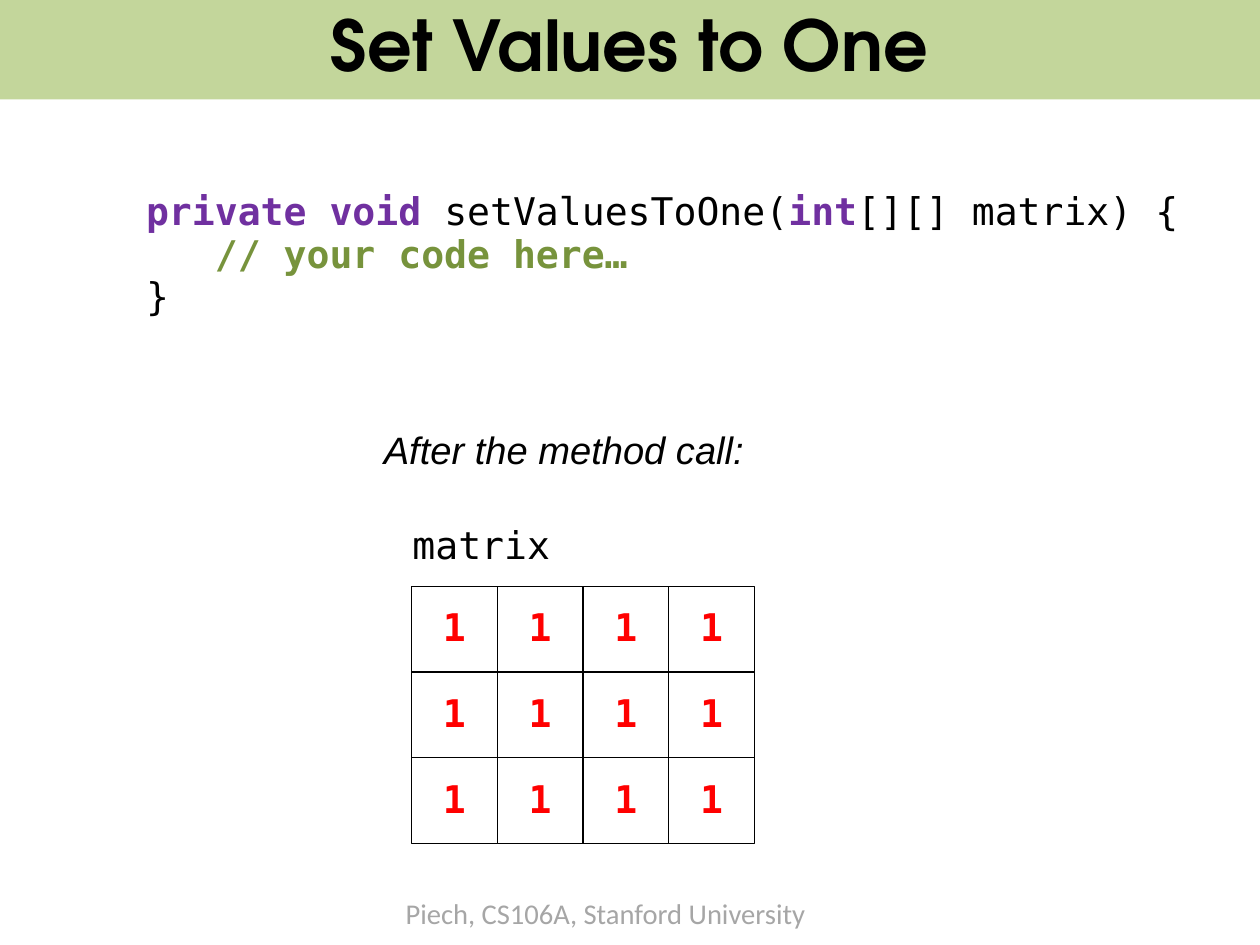
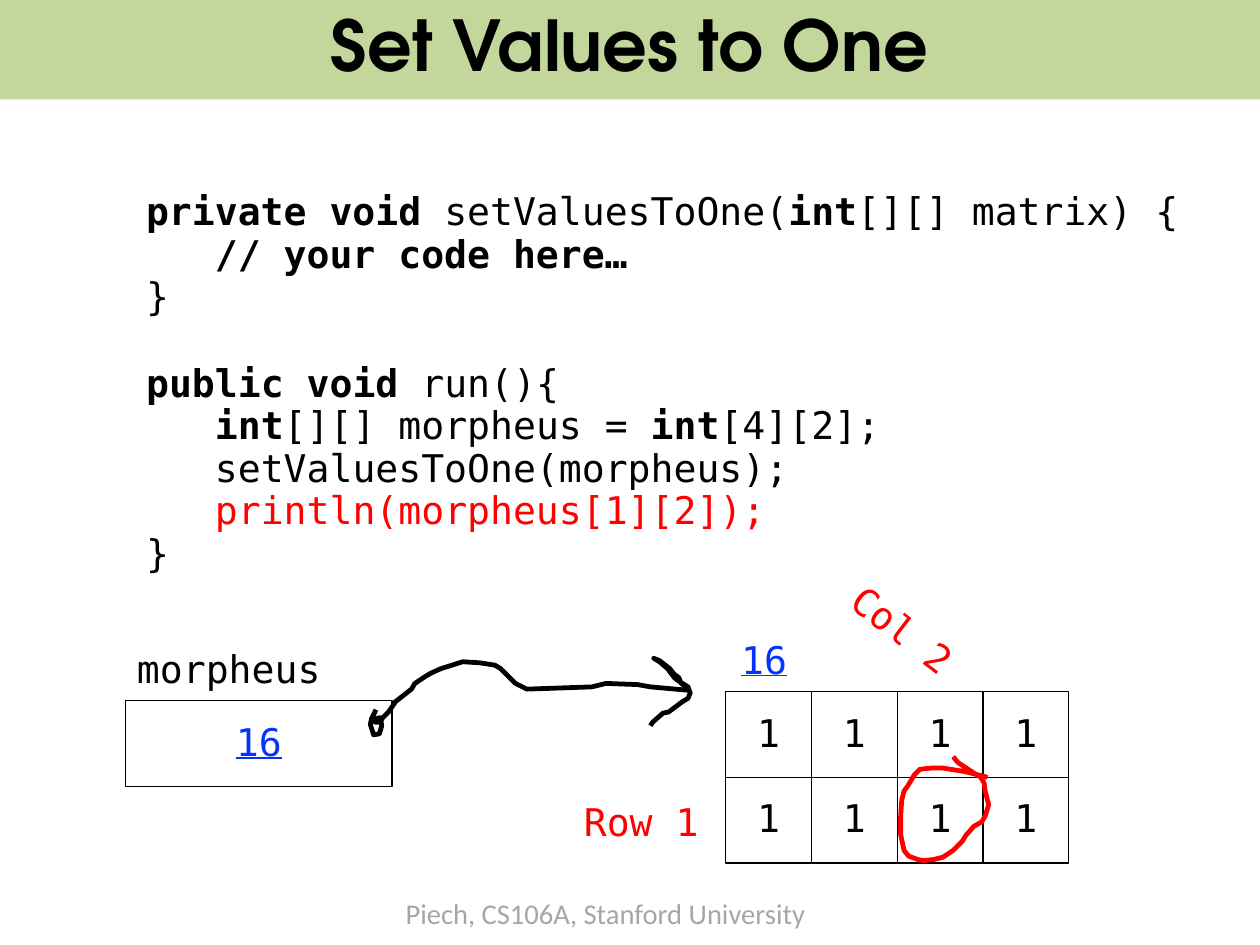
import pptx
import pptx.dml.color
import pptx.enum.shapes
import pptx.enum.text
import pptx.util

Inches = pptx.util.Inches
ALIGN = pptx.enum.text.PP_ALIGN
CM_PER_INCH = 2.54
SLIDE_WIDTH, SLIDE_HEIGHT = 28 / CM_PER_INCH, 21 / CM_PER_INCH
CELL_SIZE = 0.75
LINE_SPACING = 0.93
CODE_FONT = "DejaVu Sans Mono"
COLORS = {
    "band": "C3D69B",
    "footer": "A6A6A6",
    "text": "000000",
    "cell": "FFFFFF",
    "keyword": "7030A0",
    "comment": "77933C",
    "accent": "FF0000",
    "address": "0432FF",
}
POINTER_STROKE = [
    (3.29, 6.21), (3.25, 6.29), (3.24, 6.34), (3.27, 6.43), (3.32, 6.42),
    (3.34, 6.35), (3.33, 6.28), (3.27, 6.29), (3.28, 6.32), (3.32, 6.32),
    (3.35, 6.28), (3.40, 6.23), (3.46, 6.14), (3.60, 6.03), (3.63, 5.98),
    (3.72, 5.92), (3.77, 5.89), (3.86, 5.85), (4.05, 5.79), (4.20, 5.80),
    (4.33, 5.82), (4.38, 5.85), (4.46, 5.93), (4.51, 5.98), (4.61, 6.03),
    (5.18, 6.01), (5.30, 5.98), (5.58, 5.99), (5.69, 6.01), (5.91, 6.03),
    (6.03, 6.04), (6.02, 6.01), (5.94, 5.96), (5.90, 5.93), (5.84, 5.85),
    (5.77, 5.79), (5.72, 5.76), (5.77, 5.78), (5.86, 5.85), (5.90, 5.90),
    (5.94, 5.93), (5.96, 5.98), (6.01, 6.01), (6.04, 6.06), (6.02, 6.11),
    (5.97, 6.14), (5.85, 6.23), (5.80, 6.24), (5.71, 6.32), (5.69, 6.35),
]
CIRCLE_STROKE = [
    (8.64, 6.80), (8.56, 6.78), (8.44, 6.75), (8.25, 6.72), (8.15, 6.72),
    (8.05, 6.73), (8.00, 6.78), (7.94, 6.88), (7.91, 6.92), (7.89, 7.00),
    (7.88, 7.14), (7.88, 7.30), (7.91, 7.44), (7.95, 7.49), (8.03, 7.52),
    (8.08, 7.53), (8.17, 7.52), (8.25, 7.50), (8.34, 7.44), (8.42, 7.36),
    (8.45, 7.31), (8.52, 7.23), (8.59, 7.19), (8.62, 7.14), (8.65, 7.04),
    (8.62, 6.92), (8.61, 6.85), (8.58, 6.80), (8.47, 6.73), (8.38, 6.67),
    (8.34, 6.62),
]


def rgb(color):
    return pptx.dml.color.RGBColor.from_string(COLORS[color])


def format_run(run, font=CODE_FONT, size=24, color="text", bold=False,
               italic=False, underline=False):
    run.font.name = font
    run.font.size = pptx.util.Pt(size)
    run.font.color.rgb = rgb(color)
    run.font.bold = bold
    run.font.italic = italic
    run.font.underline = underline


def write_text(frame, lines, align=ALIGN.LEFT, **text_format):
    """Write lines, each a list of strings or (string, overrides) pairs."""
    for index, line in enumerate(lines):
        paragraph = frame.paragraphs[0] if index == 0 else frame.add_paragraph()
        paragraph.alignment = align
        paragraph.line_spacing = LINE_SPACING
        for part in line:
            text, overrides = (part, {}) if isinstance(part, str) else part
            run = paragraph.add_run()
            run.text = text
            format_run(run, **{**text_format, **overrides})


def add_text(slide, lines, left, top, width, height, rotation=0, **text_format):
    box = slide.shapes.add_textbox(
        Inches(left), Inches(top), Inches(width), Inches(height))
    box.rotation = rotation
    box.text_frame.word_wrap = False
    box.text_frame.auto_size = pptx.enum.text.MSO_AUTO_SIZE.SHAPE_TO_FIT_TEXT
    write_text(box.text_frame, lines, **text_format)


def add_box(slide, text, left, top, width, height, fill="cell", outline=True,
            **text_format):
    box = slide.shapes.add_shape(
        pptx.enum.shapes.MSO_SHAPE.RECTANGLE,
        Inches(left), Inches(top), Inches(width), Inches(height))
    box.shadow.inherit = False
    box.fill.solid()
    box.fill.fore_color.rgb = rgb(fill)
    if outline:
        box.line.color.rgb = rgb("text")
        box.line.width = pptx.util.Pt(0.75)
    else:
        box.line.fill.background()
    box.text_frame.vertical_anchor = pptx.enum.text.MSO_ANCHOR.MIDDLE
    write_text(box.text_frame, [[text]], align=ALIGN.CENTER, **text_format)


def add_matrix(slide, rows, columns, left, top, **text_format):
    for row in range(rows):
        for column in range(columns):
            add_box(slide, "1", left + column * CELL_SIZE, top + row * CELL_SIZE,
                    CELL_SIZE, CELL_SIZE, **text_format)


def add_stroke(slide, points, color):
    """Draw a hand-drawn open line through points."""
    start, *others = [(Inches(x), Inches(y)) for x, y in points]
    builder = slide.shapes.build_freeform(*start)
    builder.add_line_segments(others, close=False)
    stroke = builder.convert_to_shape()
    stroke.shadow.inherit = False
    stroke.fill.background()
    stroke.line.color.rgb = rgb(color)
    stroke.line.width = pptx.util.Pt(3)


def add_base_slide(presentation):
    """Add a slide with the shared footer and title band."""
    slide = presentation.slides.add_slide(presentation.slide_layouts[6])
    add_text(slide, [["Piech, CS106A, Stanford University"]],
             3.45, 7.82, 3.74, 0.38, font="Calibri", size=18, color="footer")
    add_box(slide, "Set Values to One", 0, -0.03, SLIDE_WIDTH, 0.9,
            fill="band", outline=False, font="TeX Gyre Adventor", size=44.1,
            bold=True)
    return slide


def add_method_code(slide, keyword_color="text", comment_color="text"):
    keyword = {"bold": True, "color": keyword_color}
    comment = {"bold": True, "color": comment_color}
    add_text(slide, [
        [("private void ", keyword), "setValuesToOne(", ("int", keyword),
         "[][] matrix) {"],
        ["   ", ("// your code here…", comment)],
        ["}"],
    ], 1.18, 1.63, 9.27, 1.23)


def add_run_code(slide):
    bold = {"bold": True}
    add_text(slide, [
        [("public void ", bold), "run(){"],
        ["   ", ("int", bold), "[][] morpheus = ", ("int", bold), "[4][2];"],
        ["   setValuesToOne(morpheus);"],
        ["   ", ("println(morpheus[1][2]);", {"color": "accent"})],
        ["}"],
    ], 1.18, 3.13, 6.65, 1.98)


def add_task_slide(presentation):
    slide = add_base_slide(presentation)
    add_method_code(slide, "keyword", "comment")
    add_text(slide, [["After the method call:"]], 3.26, 3.72, 3.38, 0.48,
             font="Arial", italic=True)
    add_text(slide, [["matrix"]], 3.51, 4.55, 1.41, 0.48)
    add_matrix(slide, 3, 4, 3.6, 5.13, color="accent", bold=True)


def add_memory_slide(presentation):
    slide = add_base_slide(presentation)
    add_method_code(slide)
    add_run_code(slide)
    address = {"color": "address", "underline": True}
    add_box(slide, "16", 1.1, 6.13, 2.33, CELL_SIZE, **address)
    add_text(slide, [["16"]], 6.38, 5.55, 0.61, 0.48, align=ALIGN.CENTER,
             **address)
    add_stroke(slide, POINTER_STROKE, "text")
    add_text(slide, [["morpheus"]], 1.1, 5.63, 1.81, 0.48)
    add_matrix(slide, 2, 4, 6.35, 6.05)
    add_text(slide, [["Row 1"]], 5.01, 6.97, 1.21, 0.48, color="accent")
    add_text(slide, [["Col 2"]], 7.28, 5.29, 1.21, 0.48, rotation=37.3,
             color="accent")
    add_stroke(slide, CIRCLE_STROKE, "accent")


def main():
    presentation = pptx.Presentation()
    presentation.slide_width = Inches(SLIDE_WIDTH)
    presentation.slide_height = Inches(SLIDE_HEIGHT)
    add_task_slide(presentation)
    add_memory_slide(presentation)
    presentation.save("out.pptx")


if __name__ == "__main__":
    main()
